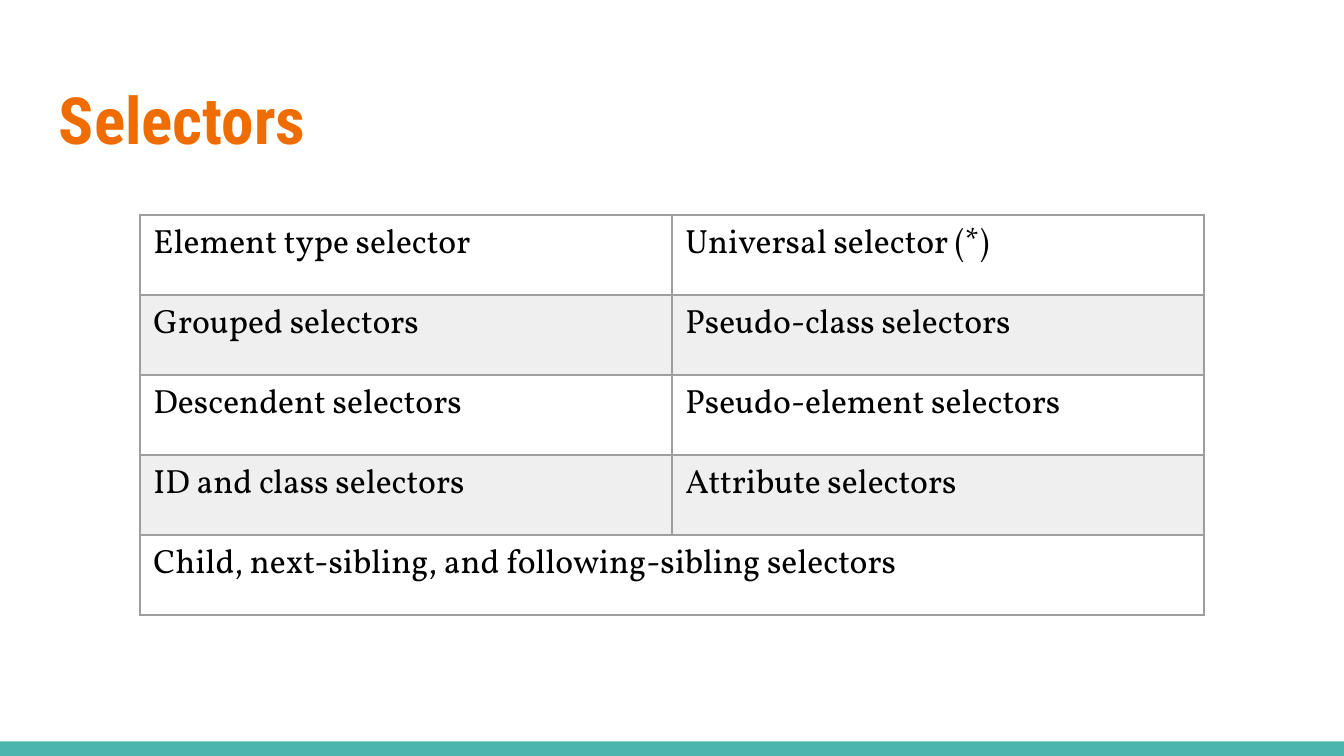
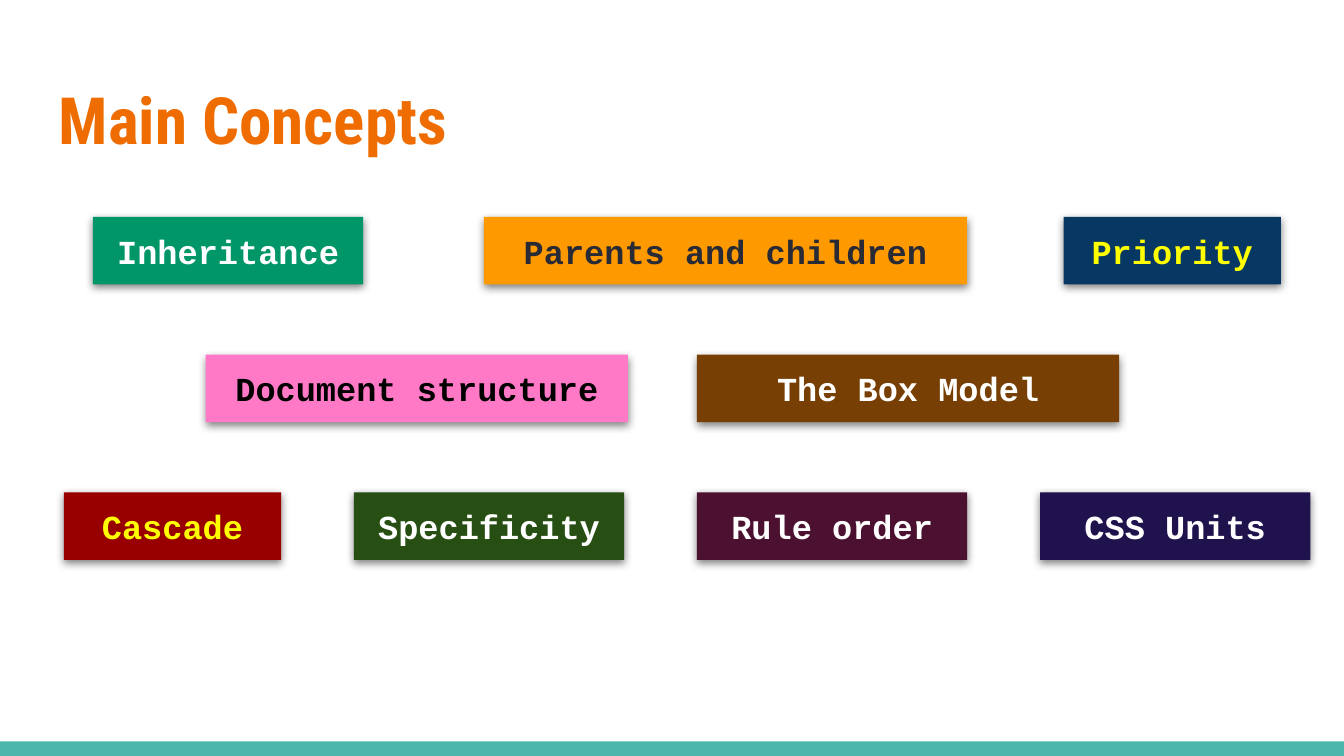
from lxml import etree
from pptx import Presentation
from pptx.dml.color import RGBColor
from pptx.enum import shapes, text
from pptx.oxml import ns
from pptx.util import Pt

WHITE = RGBColor(0xFF, 0xFF, 0xFF)
BLACK = RGBColor(0x00, 0x00, 0x00)
YELLOW = RGBColor(0xFF, 0xFF, 0x00)
CHARCOAL = RGBColor(0x28, 0x2A, 0x36)
TEAL = RGBColor(0x4D, 0xB6, 0xAC)
TITLE_ORANGE = RGBColor(0xEF, 0x6C, 0x00)
STRIPE = RGBColor(0xEF, 0xEF, 0xEF)
BORDER = RGBColor(0x9E, 0x9E, 0x9E)
GREEN = RGBColor(0x00, 0x96, 0x68)
AMBER = RGBColor(0xFF, 0x99, 0x00)
NAVY = RGBColor(0x07, 0x37, 0x63)
PINK = RGBColor(0xFF, 0x79, 0xC6)
BROWN = RGBColor(0x78, 0x3F, 0x04)
RED = RGBColor(0x98, 0x00, 0x00)
FOREST = RGBColor(0x27, 0x4E, 0x13)
PLUM = RGBColor(0x4C, 0x11, 0x30)
INDIGO = RGBColor(0x20, 0x12, 0x4D)

TITLE_FONT = "Roboto Condensed"
BODY_FONT = "Vollkorn"
CODE_FONT = "Courier New"

SELECTORS = [
    ("Element type selector", "Universal selector (*)"),
    ("Grouped selectors", "Pseudo-class selectors"),
    ("Descendent selectors", "Pseudo-element selectors"),
    ("ID and class selectors", "Attribute selectors"),
    ("Child, next-sibling, and following-sibling selectors",),
]

CONCEPT_ROWS = [
    [
        ("Inheritance", 49.8, 144.8, GREEN, WHITE),
        ("Parents and children", 259.2, 258.8, AMBER, CHARCOAL),
        ("Priority", 569.8, 116.4, NAVY, YELLOW),
    ],
    [
        ("Document structure", 110.2, 226.2, PINK, BLACK),
        ("The Box Model", 373.4, 226.2, BROWN, WHITE),
    ],
    [
        ("Cascade", 34.2, 116.4, RED, YELLOW),
        ("Specificity", 189.6, 144.8, FOREST, WHITE),
        ("Rule order", 373.4, 144.8, PLUM, WHITE),
        ("CSS Units", 557.2, 144.8, INDIGO, WHITE),
    ],
]


def add_child(parent, tag, **attributes):
    child = etree.SubElement(parent, ns.qn(tag))
    for name, value in attributes.items():
        child.set(name, str(value))
    return child


def write(frame, wording, font, size=18, color=BLACK, bold=False,
          align=text.PP_ALIGN.LEFT, anchor=text.MSO_ANCHOR.TOP):
    frame.word_wrap = True
    frame.vertical_anchor = anchor
    frame.margin_left = frame.margin_right = Pt(7.2)
    frame.margin_top = frame.margin_bottom = Pt(7.2)
    paragraph = frame.paragraphs[0]
    paragraph.alignment = align
    run = paragraph.add_run()
    run.text = wording
    run.font.name = font
    run.font.size = Pt(size)
    run.font.bold = bold
    run.font.color.rgb = color


class Deck:
    def __init__(self):
        self.presentation = Presentation()
        self.presentation.slide_width = Pt(720)
        self.presentation.slide_height = Pt(405)
        self.slide = None

    def start(self, title):
        self.slide = self.presentation.slides.add_slide(
            self.presentation.slide_layouts[6])
        self.rectangle(0, 397.2, 720, 7.8, TEAL)
        heading = self.slide.shapes.add_textbox(
            Pt(24.5), Pt(35.3), Pt(671), Pt(55.4))
        write(heading.text_frame, title, TITLE_FONT, size=34.9,
              color=TITLE_ORANGE, bold=True)

    def rectangle(self, left, top, width, height, fill):
        box = self.slide.shapes.add_shape(
            shapes.MSO_SHAPE.RECTANGLE, Pt(left), Pt(top), Pt(width), Pt(height))
        box.shadow.inherit = False
        box.fill.solid()
        box.fill.fore_color.rgb = fill
        box.line.fill.background()
        return box

    def tile(self, label, left, top, width, fill, color):
        box = self.rectangle(left, top, width, 36.2, fill)
        effects = box.element.spPr.find(ns.qn("a:effectLst"))
        shadow = add_child(effects, "a:outerShdw", blurRad=Pt(4.5), dist=Pt(1.5),
                           dir=90 * 60000, algn="bl", rotWithShape=0)
        shade = add_child(shadow, "a:srgbClr", val=BLACK)
        add_child(shade, "a:alpha", val=50000)
        write(box.text_frame, label, CODE_FONT, color=color, bold=True,
              align=text.PP_ALIGN.CENTER, anchor=text.MSO_ANCHOR.MIDDLE)

    def table(self, rows, left, top, column_width, row_height):
        columns = max(map(len, rows))
        grid = self.slide.shapes.add_table(
            len(rows), columns, Pt(left), Pt(top),
            Pt(column_width * columns), Pt(row_height * len(rows))).table
        grid.first_row = grid.horz_banding = False
        for column in grid.columns:
            column.width = Pt(column_width)
        for index, wordings in enumerate(rows):
            grid.rows[index].height = Pt(row_height)
            for position in range(columns):
                self.cell(grid.cell(index, position), striped=index % 2 == 1)
            for position, wording in enumerate(wordings):
                cell = grid.cell(index, position)
                write(cell.text_frame, wording, BODY_FONT)
                cell.margin_left = cell.margin_right = Pt(7.2)
                cell.margin_top = cell.margin_bottom = Pt(3.6)
            if len(wordings) < columns:
                grid.cell(index, len(wordings) - 1).merge(
                    grid.cell(index, columns - 1))

    def cell(self, cell, striped):
        properties = cell._tc.get_or_add_tcPr()
        for side in ("a:lnL", "a:lnR", "a:lnT", "a:lnB"):
            edge = add_child(properties, side, w=Pt(0.75))
            add_child(add_child(edge, "a:solidFill"), "a:srgbClr", val=BORDER)
        if striped:
            cell.fill.solid()
            cell.fill.fore_color.rgb = STRIPE
        else:
            cell.fill.background()


def main():
    deck = Deck()

    deck.start("Selectors")
    deck.table(SELECTORS, left=75, top=115.2, column_width=285, row_height=42.86)

    deck.start("Main Concepts")
    for index, concepts in enumerate(CONCEPT_ROWS):
        for label, left, width, fill, color in concepts:
            deck.tile(label, left, 116.2 + 73.8 * index, width, fill, color)

    deck.presentation.save("out.pptx")


if __name__ == "__main__":
    main()
